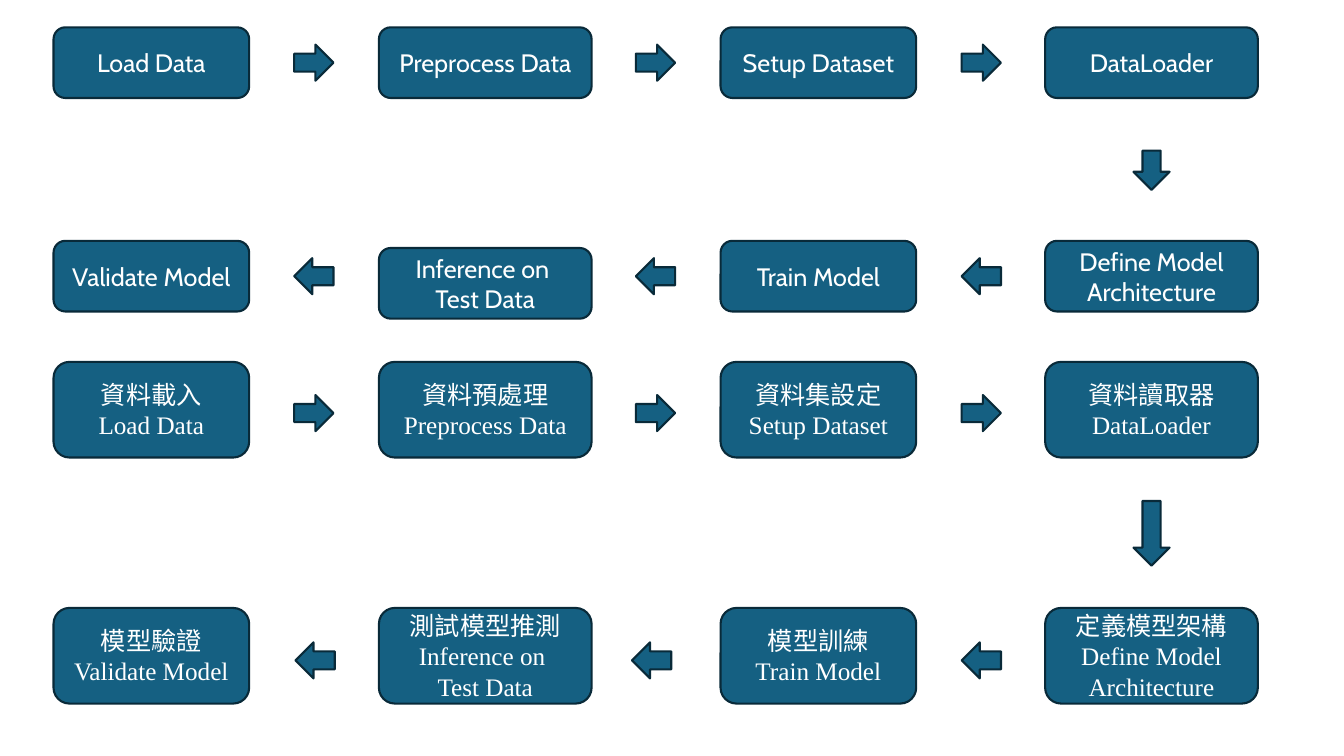
from pptx import Presentation
from pptx.dml.color import RGBColor
from pptx.enum.shapes import MSO_SHAPE
from pptx.enum.text import MSO_ANCHOR, PP_ALIGN
from pptx.util import Cm, Pt

TEAL = RGBColor(0x15, 0x60, 0x82)
NAVY = RGBColor(0x09, 0x2A, 0x39)
WHITE = RGBColor(0xFF, 0xFF, 0xFF)

COLUMNS = [(1.35, 4.93), (9.55, 5.36), (18.16, 4.93), (26.34, 5.36)]
GAP_CENTERS = [7.91, 16.52, 24.73]
ARROW_LENGTH, ARROW_HEIGHT = 0.99, 0.91


class FlowChart:
    def __init__(self, s, font, box_height):
        self.shapes = s.shapes.add_group_shape().shapes
        self.font = font
        self.box_height = box_height

    def shape(self, kind, x, y, w, h):
        sp = self.shapes.add_shape(kind, Cm(x), Cm(y), Cm(w), Cm(h))
        sp.shadow.inherit = False
        sp.fill.solid()
        sp.fill.fore_color.rgb = TEAL
        sp.line.color.rgb = NAVY
        sp.line.width = Pt(1.5)
        return sp

    def box(self, column, y, text):
        x, w = COLUMNS[column]
        sp = self.shape(MSO_SHAPE.ROUNDED_RECTANGLE, x, y, w, self.box_height)
        tf = sp.text_frame
        tf.text = text
        tf.word_wrap = True
        tf.vertical_anchor = MSO_ANCHOR.MIDDLE
        for p in tf.paragraphs:
            p.alignment = PP_ALIGN.CENTER
            for r in p.runs:
                r.font.name = self.font
                r.font.size = Pt(18)
                r.font.color.rgb = WHITE

    def arrow(self, cx, cy, rotation=0, length=ARROW_LENGTH):
        sp = self.shape(MSO_SHAPE.RIGHT_ARROW, cx - length / 2,
                        cy - ARROW_HEIGHT / 2, length, ARROW_HEIGHT)
        sp.rotation = rotation

    def row(self, tops, labels, arrow_y, rotation=0, centers=GAP_CENTERS):
        for column, (y, text) in enumerate(zip(tops, labels)):
            self.box(column, y, text)
        for cx in centers:
            self.arrow(cx, arrow_y, rotation)

    def turn(self, cy, length=ARROW_LENGTH):
        x, w = COLUMNS[-1]
        self.arrow(x + w / 2, cy, 90, length)


def main():
    prs = Presentation()
    prs.slide_width, prs.slide_height = Cm(33.87), Cm(19.05)
    s = prs.slides.add_slide(prs.slide_layouts[6])

    english = FlowChart(s, "Cabin", 1.78)
    english.row([0.69] * 4,
                ["Load Data", "Preprocess Data", "Setup Dataset", "DataLoader"], 1.58)
    english.turn(4.29)
    english.row([6.07, 6.25, 6.07, 6.07],
                ["Validate Model", "Inference on \nTest Data", "Train Model",
                 "Define Model Architecture"], 6.96, 180)

    bilingual = FlowChart(s, "Times New Roman", 2.41)
    bilingual.row([9.12] * 4,
                  ["資料載入\nLoad Data", "資料預處理\nPreprocess Data",
                   "資料集設定\nSetup Dataset", "資料讀取器\nDataLoader"], 10.41)
    bilingual.turn(13.44, 1.63)
    bilingual.row([15.32] * 4,
                  ["模型驗證\nValidate Model", "測試模型推測\nInference on \nTest Data",
                   "模型訓練\nTrain Model", "定義模型架構\nDefine Model Architecture"],
                  16.64, 180, [7.94, 16.42, 24.73])

    prs.save("out.pptx")


if __name__ == "__main__":
    main()
